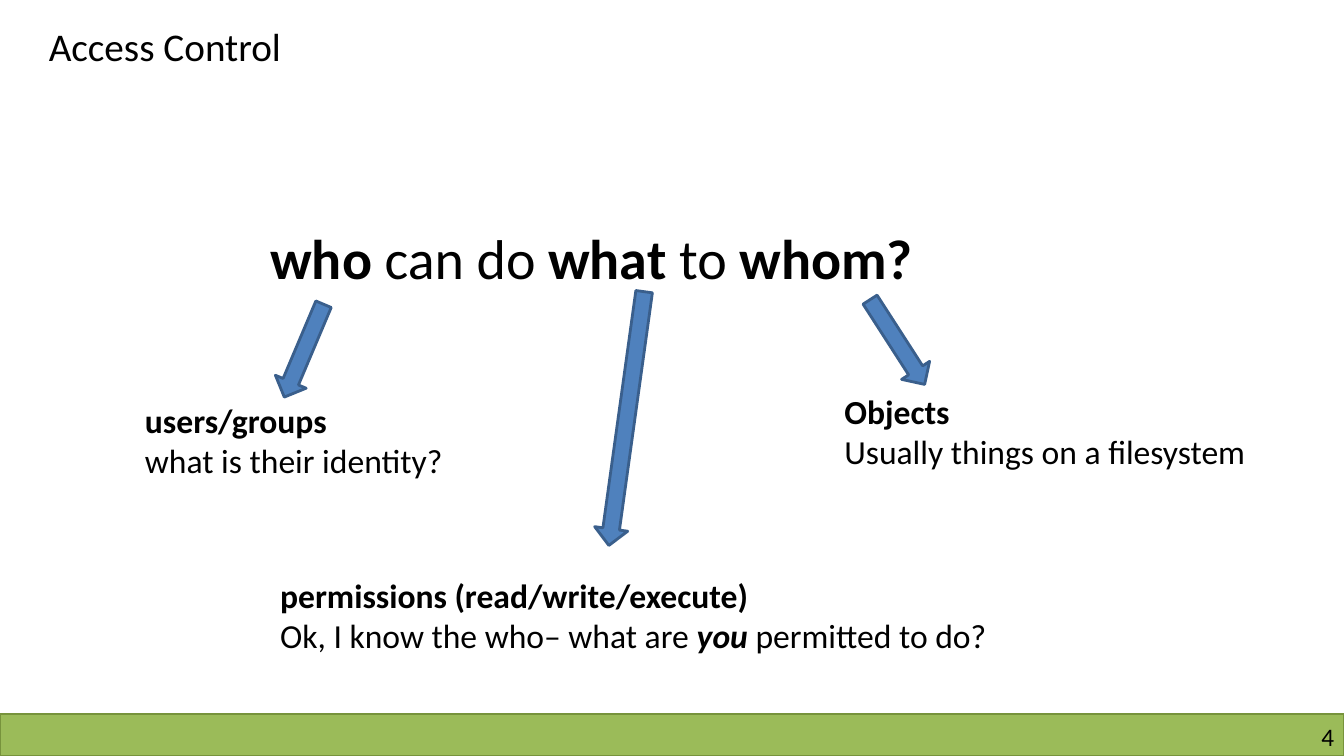
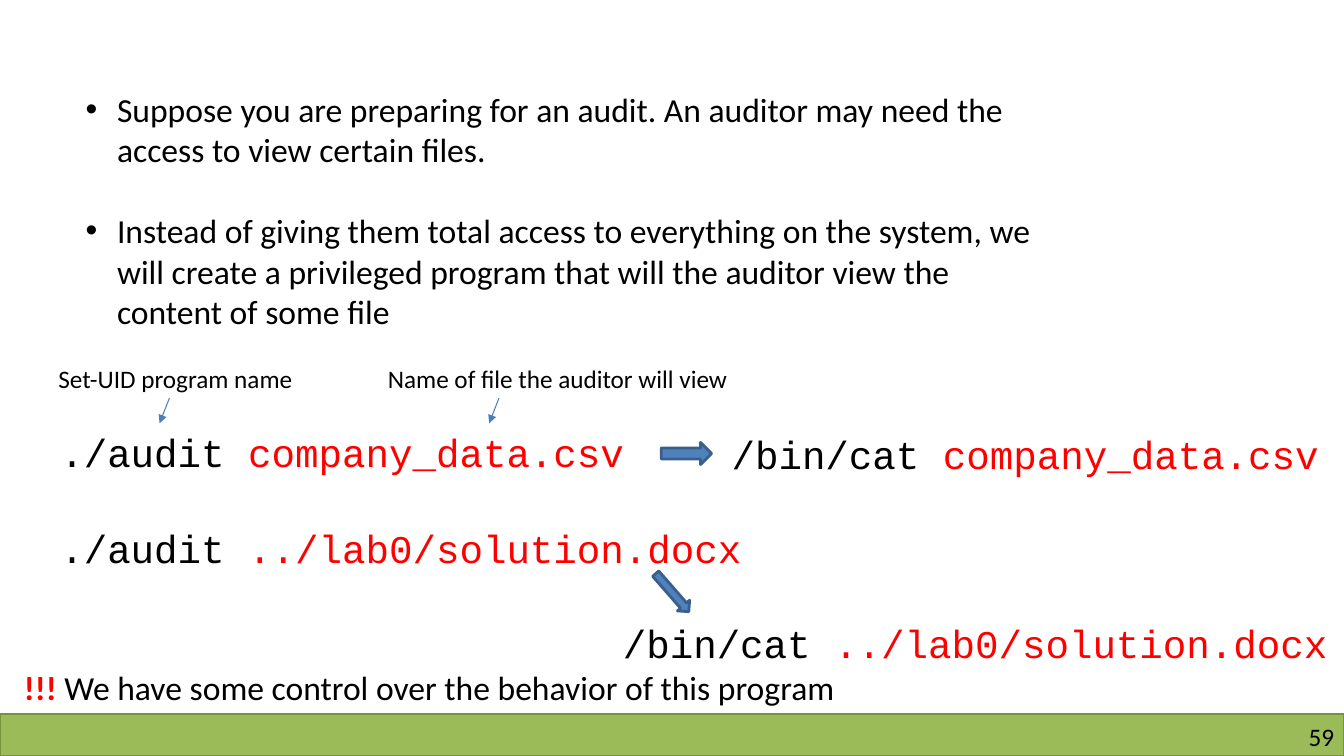
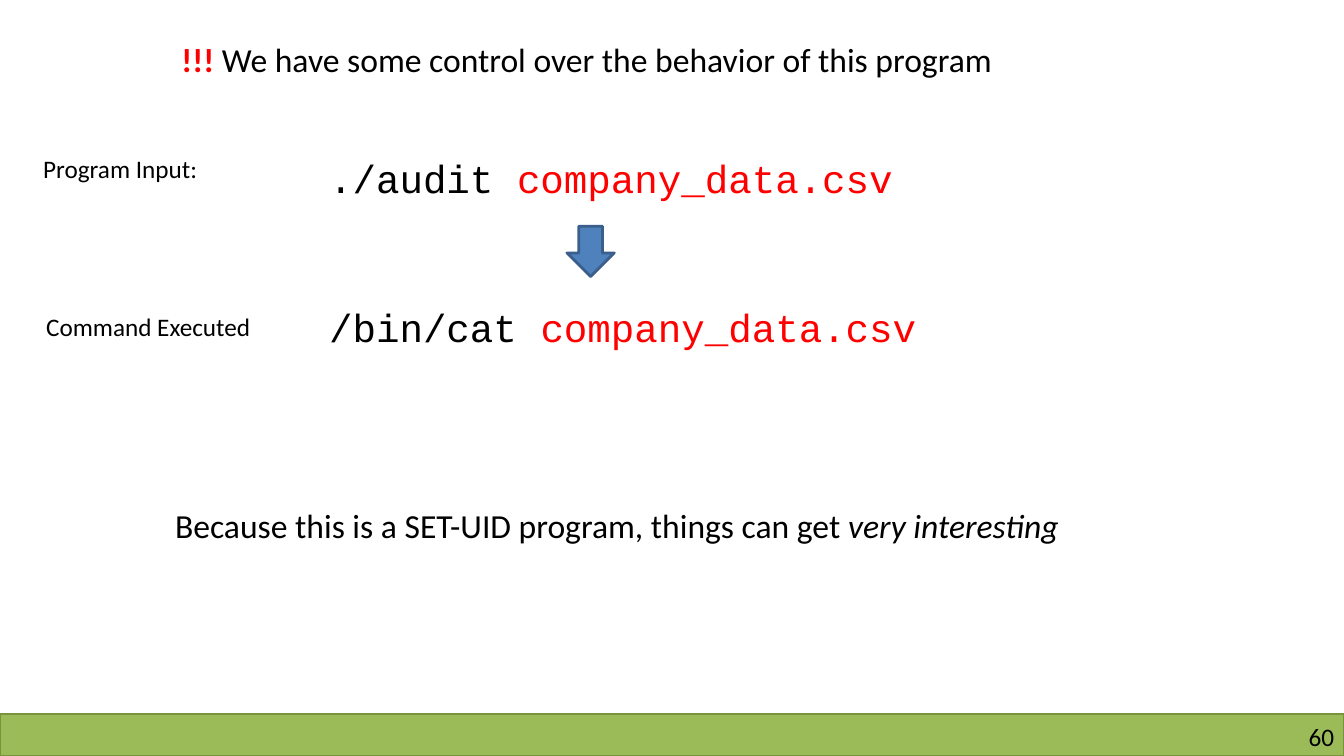
from lxml import etree
from pptx import Presentation
from pptx.dml.color import RGBColor
from pptx.enum import shapes, text
from pptx.oxml.ns import qn
from pptx.util import Pt

WIDE, HIGH, BAND = 960, 540, 30
BLACK, RED, WHITE = "000000", "FF0000", "FFFFFF"
GREEN, OLIVE = "9BBB59", "77933C"
BLUE, NAVY, SKY = "4F81BD", "3A5F8C", "4B7EBC"
SANS, MONO = "Calibri", "Courier New"
LEFT, MID, RIGHT = text.PP_ALIGN.LEFT, text.PP_ALIGN.CENTER, text.PP_ALIGN.RIGHT
SHAPE = shapes.MSO_SHAPE
TITLED, BLANK = 5, 6
CSV, DOCX = "company_data.csv", "../lab0/solution.docx"
ALERT = [("!!!", "br"), (" We have some control over the behavior of this program", "")]


def color(code):
    return RGBColor.from_string(code)


def paint(shape, fill, line, width):
    shape.shadow.inherit = False
    shape.fill.solid()
    shape.fill.fore_color.rgb = color(fill)
    shape.line.color.rgb = color(line)
    shape.line.width = Pt(width)


def write(shape, paras, size, font=SANS, align=LEFT, gap=0, bullet=0):
    """Fill a shape with lists of (text, style); styles are b, i and r for red."""
    frame = shape.text_frame
    frame.word_wrap = True
    frame.auto_size = text.MSO_AUTO_SIZE.NONE
    frame.vertical_anchor = text.MSO_ANCHOR.TOP
    for num, runs in enumerate(paras):
        para = frame.add_paragraph() if num else frame.paragraphs[0]
        para.alignment = align
        para.space_before = Pt(gap if num else 0)
        if bullet:
            props = para._p.get_or_add_pPr()
            props.set("marL", str(Pt(bullet)))
            props.set("indent", str(-Pt(bullet)))
            etree.SubElement(props, qn("a:buFont"), typeface="Arial")
            etree.SubElement(props, qn("a:buChar"), char="•")
        for words, style in runs:
            run = para.add_run()
            run.text = words
            run.font.name = font
            run.font.size = Pt(size)
            run.font.bold = "b" in style
            run.font.italic = "i" in style
            run.font.color.rgb = color(RED if "r" in style else BLACK)


def label(slide, x, y, w, h, paras, size, **look):
    box = slide.shapes.add_textbox(Pt(x), Pt(y), Pt(w), Pt(h))
    write(box, paras, size, **look)
    return box


def code(slide, x, y, w, *lines, gap=0):
    """Place shell commands, each a (command, file) pair."""
    paras = [[(cmd + " ", ""), (name, "r")] for cmd, name in lines]
    label(slide, x, y, w, 41 * len(lines), paras, 28, font=MONO, gap=gap)


def arrow(slide, kind, x, y, w, h, turn=0):
    shape = slide.shapes.add_shape(kind, Pt(x), Pt(y), Pt(w), Pt(h))
    shape.rotation = turn
    paint(shape, BLUE, NAVY, 2)


def pointer(slide, x, y, dx, dy):
    line = slide.shapes.add_connector(
        shapes.MSO_CONNECTOR.STRAIGHT, Pt(x), Pt(y), Pt(x + dx), Pt(y + dy))
    line.line.color.rgb = color(SKY)
    line.line.width = Pt(0.75)
    etree.SubElement(line.line._get_or_add_ln(), qn("a:tailEnd"), type="triangle")
    etree.SubElement(line._element.spPr, qn("a:effectLst"))


def footer(slide, num):
    top = HIGH - BAND
    band = slide.shapes.add_shape(SHAPE.RECTANGLE, 0, Pt(top), Pt(WIDE), Pt(BAND))
    paint(band, GREEN, OLIVE, 1)
    box = label(slide, 732, top + 5, 221, 22, [[(str(num), "")]], 18, align=RIGHT)
    frame = box.text_frame
    frame.margin_left = frame.margin_right = frame.margin_top = frame.margin_bottom = 0


def start(deck, num, layout=BLANK):
    slide = deck.slides.add_slide(deck.slide_layouts[layout])
    slide.background.fill.solid()
    slide.background.fill.fore_color.rgb = color(WHITE)
    footer(slide, num)
    return slide


def title(slide, x, y, w, h, runs, size, align=LEFT):
    head = slide.shapes.title
    head.left, head.top, head.width, head.height = Pt(x), Pt(y), Pt(w), Pt(h)
    write(head, [runs], size, align=align)


def answer(slide, x, y, w, head, runs, dx, tall, turn):
    """Place a two-line answer and the arrow leading down to it."""
    label(slide, x, y, w, 66, [[(head, "b")], runs], 24)
    arrow(slide, SHAPE.DOWN_ARROW, x + dx, y + 4.5 - tall - (21 if tall > 72 else 0),
          23.8, tall, turn)


def callout(slide, x, y, w, words):
    """Place a caption and the thin arrow below it."""
    label(slide, x, y, w, 29, [[(words, "")]], 18)
    pointer(slide, x + 86.4, y + 28.8, -7, 18)


def stage(slide, x, y, words, drop, cmd):
    """Place a caption and its command; drop moves the caption."""
    label(slide, x, y + drop, 185, 29, [[(words, "")]], 18)
    code(slide, 228, y, 600, (cmd, CSV))


def access(deck):
    slide = start(deck, 4, TITLED)
    title(slide, 0, 12, 235.5, 41, [("Access Control", "")], 28, MID)
    asked = [("who", "b"), (" can do ", ""), ("what", "b"), (" to ", ""), ("whom?", "b")]
    label(slide, 186, 156, 528, 55, [asked], 40)
    permit = [("Ok, I know the who– what are ", ""), ("you", "bi"),
              (" permitted to do?", "")]
    answer(slide, 96.5, 282, 241, "users/groups",
           [("what is their identity?", "")], 108.7, 72, 22.9)
    answer(slide, 193, 407, 565, "permissions (read/write/execute)",
           permit, 242.6, 183, 7.9)
    answer(slide, 596, 275.8, 334, "Objects",
           [("Usually things on a filesystem", "")], 33.1, 72, 327.2)


def audit(deck):
    slide = start(deck, 59)
    points = [
        "Suppose you are preparing for an audit. An auditor may need the access "
        "to view certain files.",
        "Instead of giving them total access to everything on the system, we will "
        "create a privileged program that will the auditor view the content of some file",
    ]
    label(slide, 54, 60, 711, 181, [[(point, "")] for point in points], 24,
          gap=29, bullet=22.5)
    callout(slide, 34.6, 255.6, 202, "Set-UID program name")
    callout(slide, 270, 255.6, 274, "Name of file the auditor will view")
    code(slide, 36, 302.4, 580, ("./audit", CSV), ("./audit", DOCX), gap=35)
    code(slide, 515.5, 303.8, 440, ("/bin/cat", CSV))
    code(slide, 437.8, 438.5, 522, ("/bin/cat", DOCX))
    arrow(slide, SHAPE.RIGHT_ARROW, 472.3, 316, 36, 15.8)
    arrow(slide, SHAPE.RIGHT_ARROW, 462.2, 417.6, 36, 11.5, 48.9)
    label(slide, 10, 473, 650, 36, [ALERT], 24)


def control(deck):
    slide = start(deck, 60, TITLED)
    title(slide, 122.4, 24, 650, 36, ALERT, 24)
    stage(slide, 23.8, 106.6, "Program Input:", -0.8, "./audit")
    arrow(slide, SHAPE.DOWN_ARROW, 405, 161.6, 33.8, 36)
    stage(slide, 25.9, 213, "Command Executed", 5.9, "/bin/cat")
    label(slide, 118, 357, 734, 36, [[
        ("Because this is a SET-UID program, things can get ", ""),
        ("very interesting", "i")]], 24)


def main():
    deck = Presentation()
    deck.slide_width, deck.slide_height = Pt(WIDE), Pt(HIGH)
    for build in (access, audit, control):
        build(deck)
    deck.save("out.pptx")


if __name__ == "__main__":
    main()
